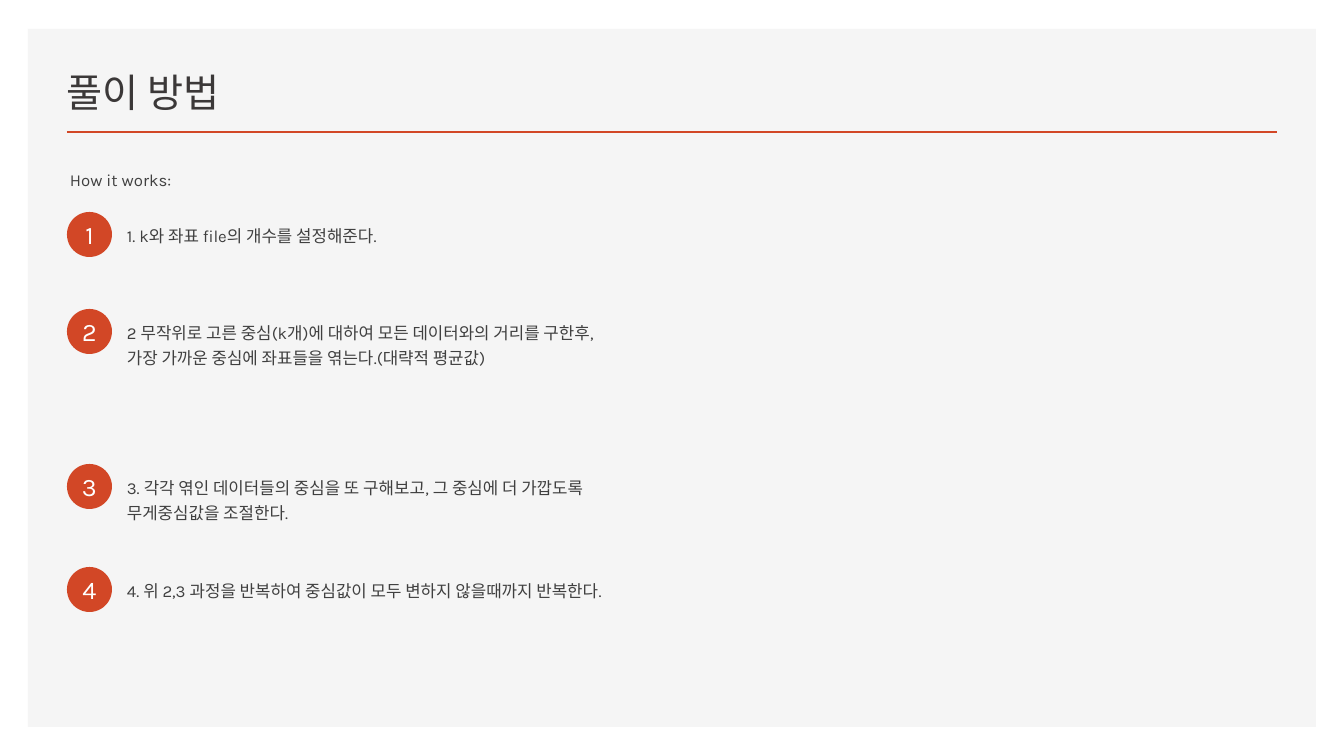
from dataclasses import dataclass

from lxml import etree
from pptx import Presentation
from pptx import util as u
from pptx.dml.color import RGBColor
from pptx.enum import shapes, text
from pptx.oxml.ns import qn

EMU_PER_PIXEL = 914400 / 100.8


@dataclass(frozen=True)
class Theme:
    """Colours, font and type sizes of the slide."""
    panel: str = "F5F5F5"
    accent: str = "D24726"
    title: str = "3B3838"
    body: str = "404040"
    white: str = "FFFFFF"
    font: str = "Karla"
    title_size: int = 28
    number_size: int = 18
    body_size: int = 12


THEME = Theme()

# Circle top, text width, space after, wording
STEPS = [
    (212, 520, 6, "1. k와 좌표 file의 개수를 설정해준다."),
    (309, 520, 20, "2 무작위로 고른 중심(k개)에 대하여 모든 데이터와의 거리를 구한후, "
                   "가장 가까운 중심에 좌표들을 엮는다.(대략적 평균값)"),
    (464, 569, 6, "3. 각각 엮인 데이터들의 중심을 또 구해보고, "
                  "그 중심에 더 가깝도록 무게중심값을 조절한다."),
    (567, 520, 20, "4. 위 2,3 과정을 반복하여 중심값이 모두 변하지 않을때까지 반복한다."),
]


def px(*lengths):
    """Turn pixel lengths into a list of EMU."""
    return [u.Emu(round(length * EMU_PER_PIXEL)) for length in lengths]


def add_run(paragraph, wording, size, colour):
    """Add one run in the theme font."""
    run = paragraph.add_run()
    run.text = wording
    run.font.name = THEME.font
    run.font.size = u.Pt(size)
    run.font.color.rgb = RGBColor.from_string(colour)


def add_filled_shape(slide, preset, box, colour):
    """Add a preset shape with a plain fill and no outline."""
    shape = slide.shapes.add_shape(preset, *px(*box))
    shape.shadow.inherit = False
    shape.fill.solid()
    shape.fill.fore_color.rgb = RGBColor.from_string(colour)
    shape.line.fill.background()
    return shape


def add_rule(slide, left, right, top):
    """Add the horizontal accent line below the title."""
    rule = slide.shapes.add_connector(
        shapes.MSO_CONNECTOR.STRAIGHT, *px(left, top, right, top))
    rule.line.color.rgb = RGBColor.from_string(THEME.accent)
    rule.line.width = u.Pt(2)
    etree.SubElement(rule._element.spPr, qn("a:effectLst"))


def add_text_box(slide, box):
    """Add a wrapping text box and return its text frame."""
    frame = slide.shapes.add_textbox(*px(*box)).text_frame
    frame.word_wrap = True
    return frame


def add_title(slide, box, wording):
    """Add the title, resting on the bottom of its box."""
    frame = add_text_box(slide, box)
    frame.vertical_anchor = text.MSO_ANCHOR.BOTTOM
    add_run(frame.paragraphs[0], wording, THEME.title_size, THEME.title)


def add_body(slide, box, wording, space_after):
    """Add a body paragraph with fixed line spacing."""
    paragraph = add_text_box(slide, box).paragraphs[0]
    paragraph.line_spacing = u.Pt(18)
    paragraph.space_before = u.Pt(10)
    paragraph.space_after = u.Pt(space_after)
    add_run(paragraph, wording, THEME.body_size, THEME.body)


def add_number(slide, box, number):
    """Add a round badge holding a step number."""
    badge = add_filled_shape(slide, shapes.MSO_SHAPE.OVAL, box, THEME.accent)
    frame = badge.text_frame
    frame.margin_left = frame.margin_right = 0
    frame.margin_top = frame.margin_bottom = 0
    frame.vertical_anchor = text.MSO_ANCHOR.MIDDLE
    paragraph = frame.paragraphs[0]
    paragraph.alignment = text.PP_ALIGN.CENTER
    add_run(paragraph, str(number), THEME.number_size, THEME.white)


def main():
    """Build the slide and save it."""
    presentation = Presentation()
    presentation.slide_width, presentation.slide_height = px(1344, 756)
    slide = presentation.slides.add_slide(presentation.slide_layouts[6])

    add_filled_shape(slide, shapes.MSO_SHAPE.RECTANGLE,
                     (28, 29, 1288, 698), THEME.panel)
    add_rule(slide, 67, 1277, 132)
    add_title(slide, (57, 49, 758, 71), "풀이 방법")
    add_body(slide, (60, 160, 563, 52), "How it works:", 20)
    for number, (top, width, space_after, wording) in enumerate(STEPS, 1):
        add_number(slide, (67, top, 45, 45), number)
        add_body(slide, (117, top + 4, width, 65), wording, space_after)

    presentation.save("out.pptx")


main()
